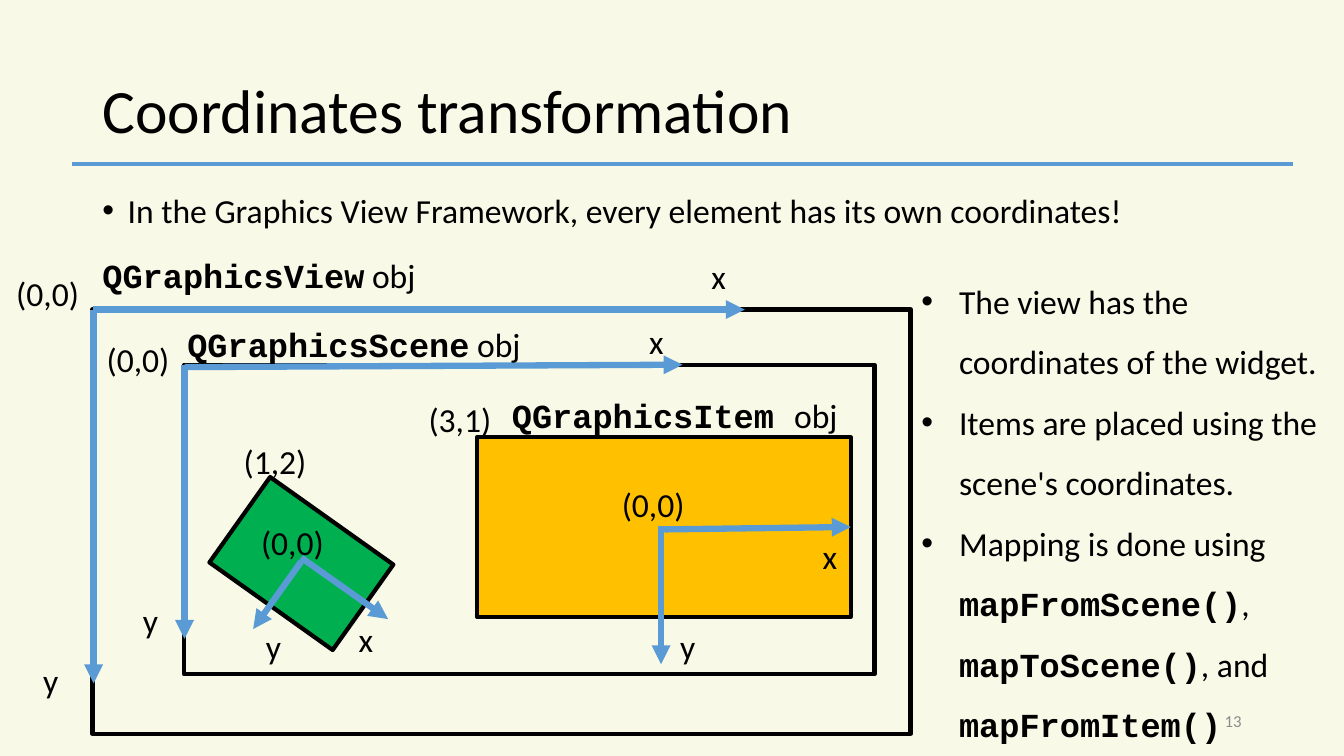
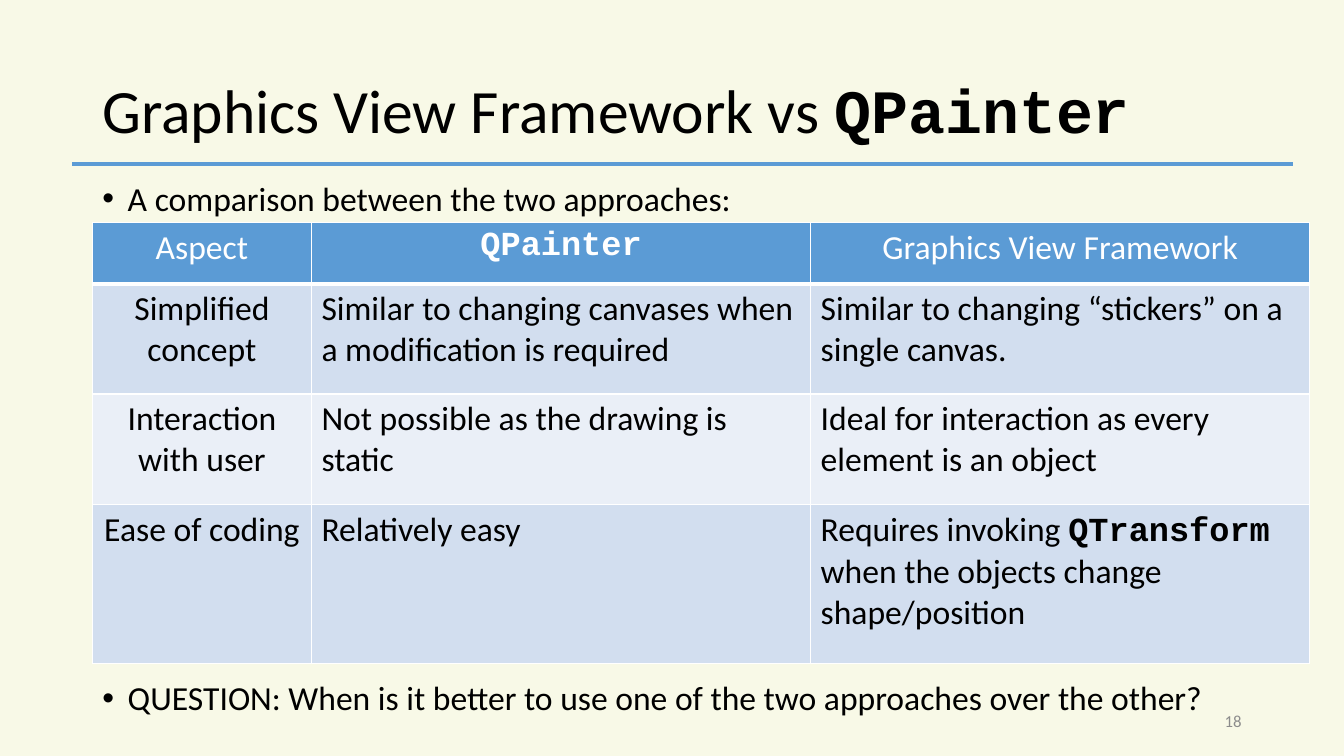
from dataclasses import dataclass

from lxml.etree import SubElement
from pptx import Presentation
from pptx.dml.color import RGBColor
from pptx.enum.shapes import MSO_CONNECTOR, MSO_SHAPE
from pptx.enum.text import MSO_ANCHOR, PP_ALIGN
from pptx.oxml.ns import qn
from pptx.util import Cm, Pt


@dataclass(frozen=True)
class Theme:
    background: RGBColor = RGBColor.from_string("F8F9E7")
    black: RGBColor = RGBColor.from_string("000000")
    white: RGBColor = RGBColor.from_string("FFFFFF")
    gray: RGBColor = RGBColor.from_string("8C8C8C")
    blue: RGBColor = RGBColor.from_string("5B9BD5")
    orange: RGBColor = RGBColor.from_string("FFC000")
    green: RGBColor = RGBColor.from_string("00B050")
    dark_band: RGBColor = RGBColor.from_string("D2DEEF")
    light_band: RGBColor = RGBColor.from_string("EAEFF7")
    text_font: str = "Calibri"
    code_font: str = "Courier New"
    title_size: Pt = Pt(44)
    body_size: Pt = Pt(24)
    number_size: Pt = Pt(12)
    outline: Pt = Pt(3)
    arrow: Pt = Pt(4.5)


theme = Theme()


def write_text(frame, lines, size=theme.body_size, color=theme.black,
               align=PP_ALIGN.LEFT, spacing=1.0, bullet_indent=None):
    for index, line in enumerate(lines):
        paragraph = frame.add_paragraph() if index else frame.paragraphs[0]
        paragraph.alignment = align
        paragraph.line_spacing = spacing
        if bullet_indent:
            properties = paragraph._p.get_or_add_pPr()
            properties.set("marL", str(bullet_indent))
            properties.set("indent", str(-bullet_indent))
            SubElement(properties, qn("a:buFont"), typeface="Arial")
            SubElement(properties, qn("a:buChar"), char="•")
        paragraph.font.name = theme.text_font
        paragraph.font.size = size
        paragraph.font.bold = False
        paragraph.font.color.rgb = color
        for position, part in enumerate(line.split("`")):
            if part:
                run = paragraph.add_run()
                run.text = part
                if position % 2:
                    run.font.name = theme.code_font
                    run.font.bold = True
    frame.word_wrap = True


def add_line(slide, start, end, width, arrowhead=False):
    points = [Cm(value) for value in (*start, *end)]
    connector = slide.shapes.add_connector(MSO_CONNECTOR.STRAIGHT, *points)
    connector.line.color.rgb = theme.blue
    connector.line.width = width
    if arrowhead:
        SubElement(connector.line._get_or_add_ln(), qn("a:tailEnd"), type="triangle")
    SubElement(connector._element.spPr, qn("a:effectLst"))
    return connector


presentation = Presentation()
presentation.slide_width = Cm(33.87)
presentation.slide_height = Cm(19.05)
background = presentation.slide_master.background.fill
background.solid()
background.fore_color.rgb = theme.background

slides = []
for title, number, intro, spacing in [
    ("Coordinates transformation", "13",
     "In the Graphics View Framework, every element has its own coordinates!", 1.5),
    ("Graphics View Framework vs `QPainter`", "18",
     "A comparison between the two approaches:", 1.2),
]:
    slide = presentation.slides.add_slide(presentation.slide_layouts[6])
    slides.append(slide)
    title_box = slide.shapes.add_textbox(Cm(2.33), Cm(1.02), Cm(29.21), Cm(3.68))
    title_box.text_frame.vertical_anchor = MSO_ANCHOR.MIDDLE
    write_text(title_box.text_frame, [title], theme.title_size, spacing=0.9)
    intro_box = slide.shapes.add_textbox(Cm(2.33), Cm(4.15), Cm(30.68), Cm(1.6))
    write_text(intro_box.text_frame, [intro], spacing=spacing, bullet_indent=Cm(0.64))
    number_box = slide.shapes.add_textbox(Cm(23.92), Cm(17.65), Cm(7.62), Cm(1.02))
    number_box.text_frame.vertical_anchor = MSO_ANCHOR.MIDDLE
    write_text(number_box.text_frame, [number], theme.number_size, theme.gray, PP_ALIGN.RIGHT)
    add_line(slide, (1.82, 4.13), (32.59, 4.13), theme.outline)

coordinates_slide, comparison_slide = slides

rectangles = []
for box, color, rotation in [
    ((2.33, 7.8, 20.62, 10.69), None, 0),
    ((4.64, 9.19, 17.4, 7.8), None, 0),
    ((12.02, 11.02, 9.42, 4.52), theme.orange, 0),
    ((5.69, 12.88, 3.81, 2.64), theme.green, 35.4),
]:
    rectangle = coordinates_slide.shapes.add_shape(
        MSO_SHAPE.RECTANGLE, *[Cm(value) for value in box])
    rectangle.rotation = rotation
    rectangle.shadow.inherit = False
    rectangle.line.color.rgb = theme.black
    rectangle.line.width = theme.outline
    if color is None:
        rectangle.fill.background()
    else:
        rectangle.fill.solid()
        rectangle.fill.fore_color.rgb = color
    rectangles.append(rectangle)
view, scene, item, rotated_item = rectangles

for start, end in [
    ((2.34, 7.8), (18.77, 7.8)),
    ((2.36, 7.8), (2.36, 17.22)),
    ((4.65, 9.25), (17.2, 9.19)),
    ((4.65, 9.19), (4.65, 16.1)),
    ((16.66, 13.26), (16.66, 16.74)),
    ((7.59, 14.05), (9.78, 15.6)),
    ((7.59, 14.15), (6.38, 15.85)),
]:
    add_line(coordinates_slide, start, end, theme.arrow, arrowhead=True)
item_x_axis = add_line(coordinates_slide, (16.74, 13.34), (21.44, 13.28),
                       theme.arrow, arrowhead=True)
item_x_axis.end_connect(item, 3)

axis_width, point_width, caption_width = 1.09, 2.26, 10.54
for text, left, top, width in [
    ("`QGraphicsView` obj", 2.33, 5.79, caption_width),
    ("`QGraphicsScene` obj", 4.47, 7.54, caption_width),
    ("`QGraphicsItem `obj", 12.65, 9.32, caption_width),
    ("(0,0)", 0.16, 6.25, point_width),
    ("(0,0)", 2.44, 7.92, point_width),
    ("(3,1)", 10.55, 9.42, point_width),
    ("(1,2)", 5.89, 10.47, point_width),
    ("(0,0)", 15.42, 11.56, point_width),
    ("(0,0)", 6.33, 12.52, point_width),
    ("x", 17.68, 5.82, axis_width),
    ("y", 0.84, 15.99, axis_width),
    ("x", 16.11, 7.46, axis_width),
    ("y", 3.35, 14.48, axis_width),
    ("x", 20.48, 12.88, axis_width),
    ("y", 16.89, 15.15, axis_width),
    ("x", 8.79, 14.96, axis_width),
    ("y", 6.45, 15.14, axis_width),
]:
    label = coordinates_slide.shapes.add_textbox(Cm(left), Cm(top), Cm(width), Cm(1.68))
    write_text(label.text_frame, [text], spacing=1.5)

mapping_box = coordinates_slide.shapes.add_textbox(Cm(22.97), Cm(6.44), Cm(10.49), Cm(12.42))
write_text(mapping_box.text_frame, [
    "The view has the coordinates of the widget.",
    "Items are placed using the scene's coordinates.",
    "Mapping is done using `mapFromScene()`, `mapToScene()`, and `mapFromItem()`",
], spacing=1.5, bullet_indent=Cm(0.95))

rows = [
    ("Aspect", "`QPainter`", "Graphics View Framework"),
    ("Simplified concept", "Similar to changing canvases when a modification is required",
     "Similar to changing “stickers” on a single canvas."),
    ("Interaction with user", "Not possible as the drawing is static",
     "Ideal for interaction as every element is an object"),
    ("Ease of coding", "Relatively easy",
     "Requires invoking `QTransform` when the objects change shape/position"),
]
table = comparison_slide.shapes.add_table(
    4, 3, Cm(2.33), Cm(5.61), Cm(30.68), Cm(11.11)).table
for column, width in zip(table.columns, (5.52, 12.58, 12.58)):
    column.width = Cm(width)
for row, height in zip(table.rows, (1.54, 2.78, 2.78, 4.01)):
    row.height = Cm(height)

for row_index, texts in enumerate(rows):
    is_header = row_index == 0
    band = theme.dark_band if row_index % 2 else theme.light_band
    for column_index, text in enumerate(texts):
        cell = table.cell(row_index, column_index)
        for side in ("L", "R", "T", "B"):
            thick = (is_header and side == "B") or (row_index == 1 and side == "T")
            border = SubElement(cell._tc.get_or_add_tcPr(), qn(f"a:ln{side}"),
                                w=str(Pt(3 if thick else 1)))
            border_fill = SubElement(border, qn("a:solidFill"))
            SubElement(border_fill, qn("a:srgbClr"), val=str(theme.white))
        cell.fill.solid()
        cell.fill.fore_color.rgb = theme.blue if is_header else band
        centered = is_header or column_index == 0
        write_text(cell.text_frame, [text],
                   color=theme.white if is_header else theme.black,
                   align=PP_ALIGN.CENTER if centered else PP_ALIGN.LEFT)

question_box = comparison_slide.shapes.add_textbox(Cm(2.33), Cm(16.74), Cm(30.68), Cm(1.5))
write_text(question_box.text_frame,
           ["QUESTION: When is it better to use one of the two approaches over the other?"],
           spacing=1.2, bullet_indent=Cm(0.64))

presentation.save("out.pptx")
